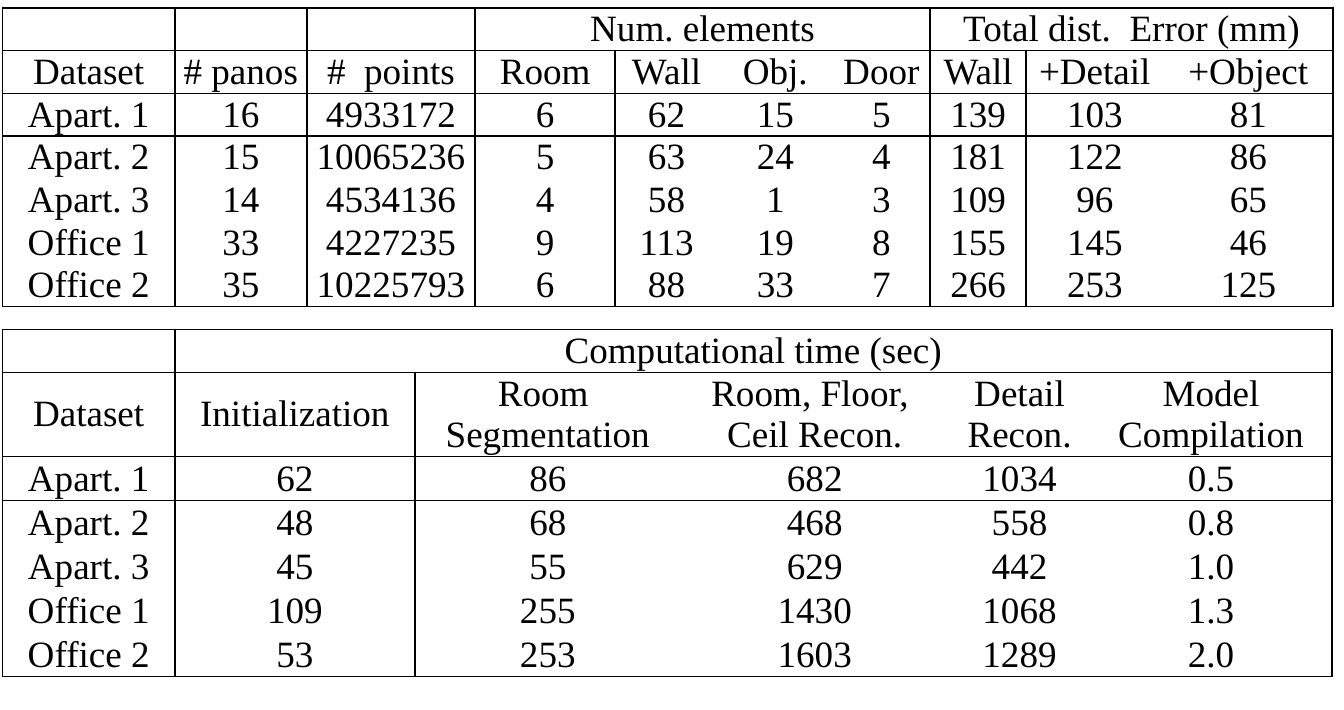
from dataclasses import dataclass

from lxml.etree import SubElement
from pptx import Presentation
from pptx.dml.color import RGBColor as RGB
from pptx.enum.text import MSO_ANCHOR as Anchor, PP_ALIGN as Align
from pptx.oxml.ns import qn
from pptx.util import Inches, Pt

COLORS = {"ink": "000000", "paper": "FFFFFF"}
FONT = "Times New Roman"
PLAIN_STYLE = "{2D5ABB26-0587-4C30-8999-92F81FD0307C}"
GRID_COLS, GRID_ROWS = 1007, 532
SLIDE_W, SLIDE_H = Inches(10.07), Inches(5.32)
DATASETS = ["Apart. 1", "Apart. 2", "Apart. 3", "Office 1", "Office 2"]


@dataclass
class Span:
    row: int
    col: int
    width: int
    text: str


@dataclass
class Grid:
    left: int
    top: int
    cols: list[int]
    rows: list[int]
    spans: list[Span]
    heads: list[str]
    values: list[list[str]]
    bars: set[int]
    rules: set[int]


TIMES = Grid(
    left=2, top=247,
    cols=[129, 180, 199, 201, 106, 181],
    rows=[32, 63] + [33] * 5,
    spans=[Span(0, 1, 5, "Computational time (sec)")],
    heads=["Dataset", "Initialization", "Room \nSegmentation",
           "Room, Floor, \nCeil Recon.", "Detail\nRecon.", "Model\nCompilation"],
    values=[
        ["62", "86", "682", "1034", "0.5"],
        ["48", "68", "468", "558", "0.8"],
        ["45", "55", "629", "442", "1.0"],
        ["109", "255", "1430", "1068", "1.3"],
        ["53", "253", "1603", "1289", "2.0"],
    ],
    bars={0, 1, 6}, rules={0, 1, 2, 7},
)

ERRORS = Grid(
    left=2, top=6,
    cols=[129, 99, 126, 105, 77, 86, 73, 72, 103, 127],
    rows=[32] * 7,
    spans=[Span(0, 3, 4, "Num. elements"), Span(0, 7, 3, "Total dist.  Error (mm)")],
    heads=["Dataset", "# panos", "#  points", "Room", "Wall", "Obj.", "Door",
           "Wall", "+Detail", "+Object"],
    values=[
        ["16", "4933172", "6", "62", "15", "5", "139", "103", "81"],
        ["15", "10065236", "5", "63", "24", "4", "181", "122", "86"],
        ["14", "4534136", "4", "58", "1", "3", "109", "96", "65"],
        ["33", "4227235", "9", "113", "19", "8", "155", "145", "46"],
        ["35", "10225793", "6", "88", "33", "7", "266", "253", "125"],
    ],
    bars={0, 1, 2, 3, 7, 10}, rules={0, 1, 2, 7},
)


def across(n: int) -> int:
    return round(SLIDE_W * n / GRID_COLS)


def down(n: int) -> int:
    return round(SLIDE_H * n / GRID_ROWS)


def write(tf, text: str, *, size: float = 20, color: str = "ink", align=Align.CENTER) -> None:
    for i, line in enumerate(text.split("\n")):
        p = tf.paragraphs[0] if i == 0 else tf.add_paragraph()
        p.alignment = align
        r = p.add_run()
        r.text = line
        r.font.name, r.font.size = FONT, Pt(size)
        r.font.color.rgb = RGB.from_string(COLORS[color])


def add_border(cell, side: str, *, width: float = 1, color: str = "ink") -> None:
    ln = SubElement(cell._tc.get_or_add_tcPr(), qn(f"a:ln{side}"), w=str(Pt(width)))
    fill = SubElement(ln, qn("a:solidFill"))
    SubElement(fill, qn("a:srgbClr"), val=COLORS[color])


def format_cell(cell, grid: Grid, row: int, col: int, width: int) -> None:
    cell.margin_left = cell.margin_right = across(1)
    cell.margin_top = cell.margin_bottom = 0
    cell.vertical_anchor = Anchor.MIDDLE
    edges = {"L": col in grid.bars, "R": col + width in grid.bars,
             "T": row in grid.rules, "B": row + 1 in grid.rules}
    for side, ruled in edges.items():
        if ruled:
            add_border(cell, side)
    cell.fill.background()


def draw_table(sp, grid: Grid) -> None:
    table = sp.add_table(len(grid.rows), len(grid.cols), across(grid.left), down(grid.top),
                         across(sum(grid.cols)), down(sum(grid.rows))).table
    table.first_row = table.horz_banding = False
    table._tbl.tblPr.find(qn("a:tableStyleId")).text = PLAIN_STYLE
    for column, width in zip(table.columns, grid.cols):
        column.width = across(width)
    for row, height in zip(table.rows, grid.rows):
        row.height = down(height)

    texts = {(s.row, s.col): s.text for s in grid.spans}
    widths = {(s.row, s.col): s.width for s in grid.spans}
    body = [[name] + values for name, values in zip(DATASETS, grid.values)]
    for i, line in enumerate([grid.heads] + body, start=1):
        texts.update({(i, j): text for j, text in enumerate(line)})
    for s in grid.spans:
        table.cell(s.row, s.col).merge(table.cell(s.row, s.col + s.width - 1))

    for i in range(len(grid.rows)):
        for j in range(len(grid.cols)):
            cell = table.cell(i, j)
            format_cell(cell, grid, i, j, widths.get((i, j), 1))
            if (i, j) in texts:
                write(cell.text_frame, texts[i, j])


def main() -> None:
    """Build the slide with the reconstruction error and computation time tables."""
    prs = Presentation()
    prs.slide_width, prs.slide_height = SLIDE_W, SLIDE_H
    s = prs.slides.add_slide(prs.slide_layouts[6])
    s.background.fill.solid()
    s.background.fill.fore_color.rgb = RGB.from_string(COLORS["paper"])
    for grid in (TIMES, ERRORS):
        draw_table(s.shapes, grid)
    prs.save("out.pptx")


if __name__ == "__main__":
    main()
